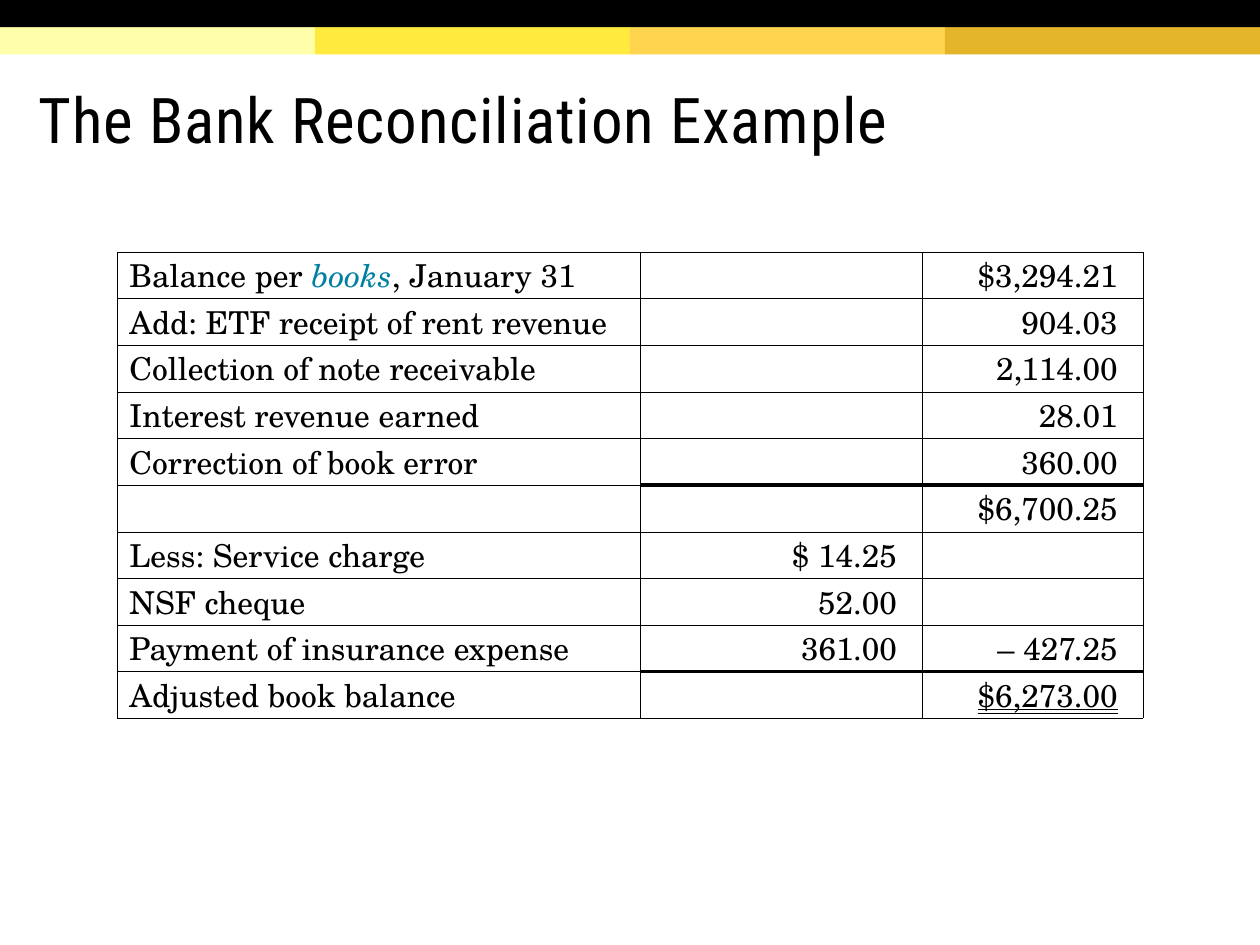
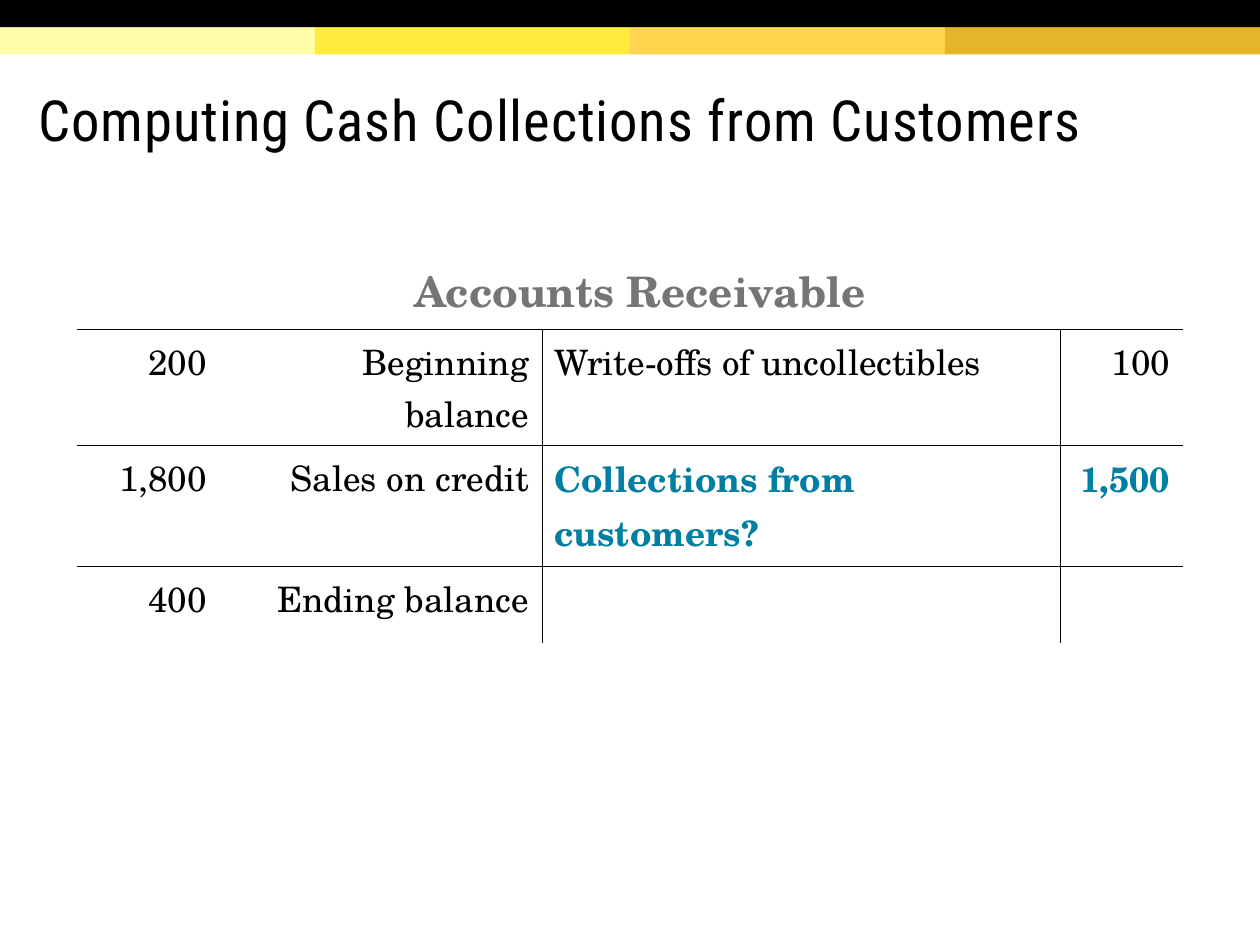
from lxml import etree
from pptx import Presentation
from pptx import util as u
from pptx.dml.color import RGBColor
from pptx.enum import shapes, text
from pptx.oxml import ns

BLACK = "000000"
GREY = "757575"
TEAL = "007FA3"
BAND_COLOURS = ["FFFFAA", "FFEA3D", "FFD54F", "E4B429"]
TITLE_FONT = "Roboto Condensed"
BODY_FONT = "TeX Gyre Schola"
NO_TABLE_STYLE = "{2D5ABB26-0587-4C30-8999-92F81FD0307C}"
PAGE_WIDTH = 25.4
BAND_HEIGHT = 0.55
THIN, THICK = 0.25, 2.25
LEFT, CENTRE, RIGHT = text.PP_ALIGN.LEFT, text.PP_ALIGN.CENTER, text.PP_ALIGN.RIGHT

RECONCILIATION = [
    ("Balance per books, January 31", "", "$3,294.21"),
    ("Add: ETF receipt of rent revenue", "", "904.03"),
    ("Collection of note receivable", "", "2,114.00"),
    ("Interest revenue earned", "", "28.01"),
    ("Correction of book error", "", "360.00"),
    ("", "", "$6,700.25"),
    ("Less: Service charge", "$ 14.25", ""),
    ("NSF cheque", "52.00", ""),
    ("Payment of insurance expense", "361.00", "– 427.25"),
    ("Adjusted book balance", "", "$6,273.00"),
]
SUBTOTAL_ROWS = (5, 9)

RECEIVABLE = [
    ("", "Accounts Receivable", "", ""),
    ("200", "Beginning balance", "Write-offs of uncollectibles", "100"),
    ("1,800", "Sales on credit", "Collections from customers?", "1,500"),
    ("400", "Ending balance", "", ""),
]


def colour(value):
    return RGBColor.from_string(value)


def style_font(font, name, size, value, bold=False):
    font.name = name
    font.size = u.Pt(size)
    font.bold = bold
    font.color.rgb = colour(value)


def add_band(page, left, top, width, value):
    band = page.shapes.add_shape(
        shapes.MSO_SHAPE.RECTANGLE, u.Cm(left), u.Cm(top), u.Cm(width), u.Cm(BAND_HEIGHT)
    )
    band.shadow.inherit = False
    band.fill.solid()
    band.fill.fore_color.rgb = colour(value)
    band.line.fill.background()


def set_title(page, wording, size):
    title = page.shapes.title
    title.left, title.top, title.width, title.height = map(u.Cm, (0.53, 1.19, 24.1, 2.49))
    frame = title.text_frame
    frame.auto_size = text.MSO_AUTO_SIZE.NONE
    frame.word_wrap = True
    frame.vertical_anchor = text.MSO_ANCHOR.MIDDLE
    frame.margin_left = frame.margin_right = frame.margin_top = u.Cm(0.25)
    frame.margin_bottom = u.Cm(0.13)
    para = frame.paragraphs[0]
    para.alignment = LEFT
    para.line_spacing = 0.85
    style_font(para.font, TITLE_FONT, size, BLACK)
    span = para.add_run()
    span.text = wording
    span._r.get_or_add_rPr().set("spc", "50")


def add_page(deck, wording, size):
    page = deck.slides.add_slide(deck.slide_layouts[5])
    width = PAGE_WIDTH / len(BAND_COLOURS)
    for index, value in enumerate(BAND_COLOURS):
        add_band(page, index * width, BAND_HEIGHT, width, value)
    add_band(page, 0, 0, PAGE_WIDTH, BLACK)
    set_title(page, wording, size)
    return page


def add_plain_table(page, left, top, widths, row_height, row_count):
    frame = page.shapes.add_table(
        row_count, len(widths), u.Cm(left), u.Cm(top),
        u.Cm(sum(widths)), u.Cm(row_height * row_count),
    )
    table = frame.table
    table.first_row = table.horz_banding = False
    table._tbl.tblPr.find(ns.qn("a:tableStyleId")).text = NO_TABLE_STYLE
    for column, width in zip(table.columns, widths):
        column.width = u.Cm(width)
    for row in table.rows:
        row.height = u.Cm(row_height)
    return table


def set_borders(cell, **widths):
    properties = cell._tc.get_or_add_tcPr()
    for side in "LRTB":
        if side in widths:
            line = etree.SubElement(
                properties, ns.qn("a:ln" + side), w=str(u.Pt(widths[side]))
            )
            fill = etree.SubElement(line, ns.qn("a:solidFill"))
            etree.SubElement(fill, ns.qn("a:srgbClr"), val=BLACK)
    cell.fill.background()


def write_cell(cell, wording, alignment, size, value=BLACK, bold=False, accent=""):
    para = cell.text_frame.paragraphs[0]
    para.alignment = alignment
    style_font(para.font, BODY_FONT, size, value, bold)
    parts = wording.partition(accent) if accent else (wording,)
    for part in filter(None, parts):
        span = para.add_run()
        span.text = part
        if part == accent:
            span.font.italic = True
            span.font.color.rgb = colour(TEAL)
    return para


def add_reconciliation(page):
    table = add_plain_table(
        page, 2.36, 5.08, (10.54, 5.69, 4.45), 0.94, len(RECONCILIATION)
    )
    for r, row in enumerate(RECONCILIATION):
        for c, wording in enumerate(row):
            cell = table.cell(r, c)
            cell.margin_top = cell.margin_bottom = 0
            cell.margin_left = u.Cm(0 if c else 0.25)
            cell.margin_right = u.Cm(0.51 if c else 0)
            above = THICK if c and r in SUBTOTAL_ROWS else THIN
            below = THICK if c and r + 1 in SUBTOTAL_ROWS else THIN
            set_borders(cell, L=THIN, R=THIN, T=above, B=below)
            accent = "books" if r == 0 else ""
            para = write_cell(cell, wording, RIGHT if c else LEFT, 18, accent=accent)
    para.runs[0].font.underline = text.MSO_UNDERLINE.DOUBLE_LINE


def add_receivable_account(page):
    table = add_plain_table(
        page, 1.55, 5.08, (2.87, 6.5, 10.46, 2.46), 1.55, len(RECEIVABLE)
    )
    table.cell(0, 1).merge(table.cell(0, 2))
    for r, row in enumerate(RECEIVABLE):
        for c, wording in enumerate(row):
            cell = table.cell(r, c)
            borders = {"T" if r % 2 else "B": THIN}
            if r and c in (1, 2):
                borders["R" if c == 1 else "L"] = THIN
            set_borders(cell, **borders)
            if r == 0:
                write_cell(cell, wording, CENTRE, 24, GREY, bold=True)
            else:
                answer = r == 2 and c >= 2
                write_cell(
                    cell, wording, LEFT if c == 2 else RIGHT, 20,
                    TEAL if answer else BLACK, bold=answer,
                )


def main():
    deck = Presentation()
    deck.slide_width, deck.slide_height = u.Cm(PAGE_WIDTH), u.Cm(19.05)
    add_reconciliation(add_page(deck, "The Bank Reconciliation Example", 36))
    add_receivable_account(
        add_page(deck, "Computing Cash Collections from Customers", 32.4)
    )
    deck.save("out.pptx")


if __name__ == "__main__":
    main()
